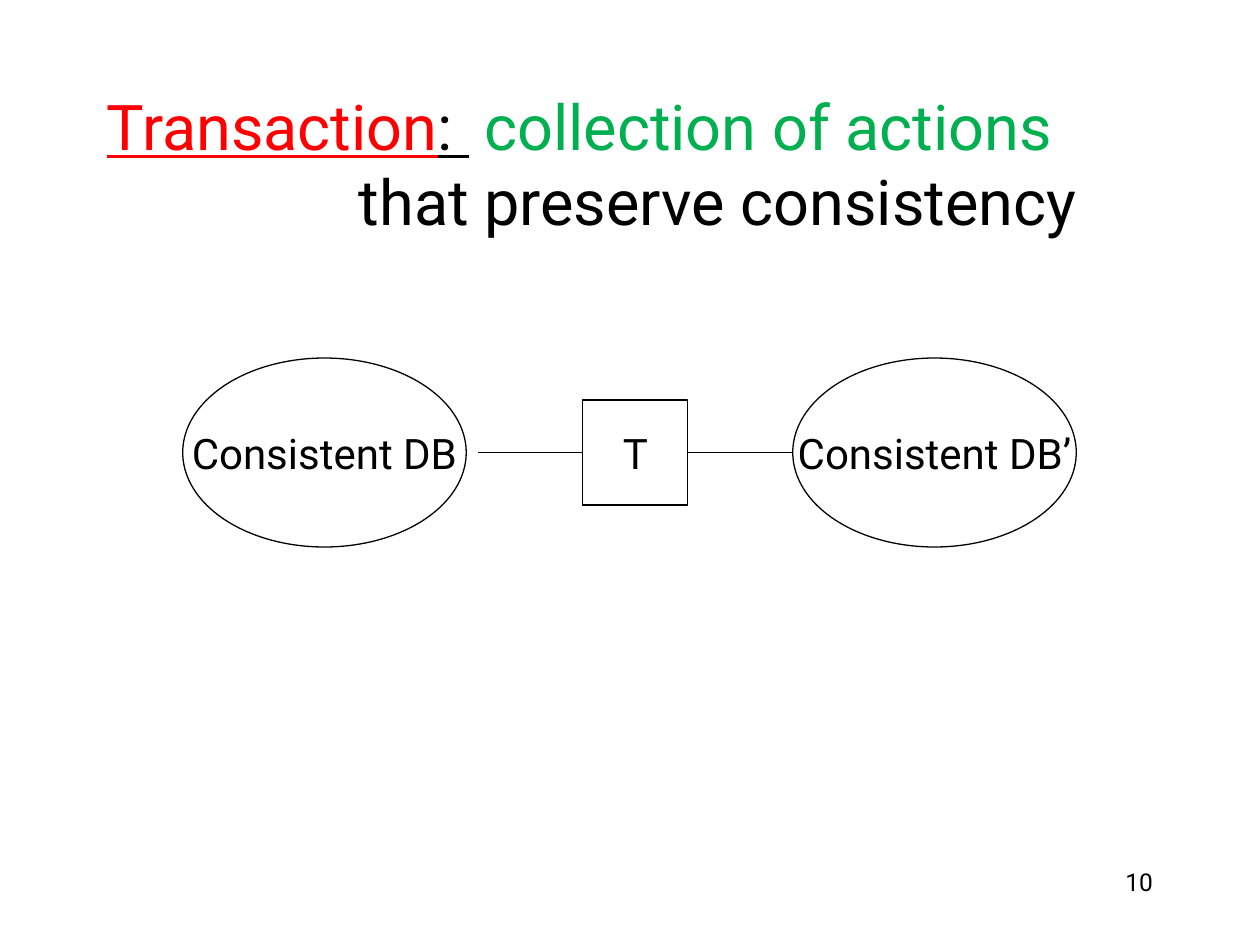
import pptx
import pptx.util
import pptx.dml.color
import pptx.enum.shapes
import pptx.enum.text
import pptx.oxml.ns
import lxml.etree

SHAPE = pptx.enum.shapes.MSO_SHAPE
ALIGN = pptx.enum.text.PP_ALIGN
ANCHOR = pptx.enum.text.MSO_ANCHOR
BLACK, WHITE, RED, GREEN = "000000", "FFFFFF", "FF0000", "00B050"


def color(value):
    return pptx.dml.color.RGBColor.from_string(value)


def write(para, text, size, ink=BLACK, underline=False):
    span = para.add_run()
    span.text = text
    formats = {"name": "Roboto", "size": pptx.util.Pt(size), "underline": underline}
    for name, value in formats.items():
        setattr(span.font, name, value)
    span.font.color.rgb = color(ink)


deck = pptx.Presentation()
deck.slide_width = pptx.util.Inches(10)
deck.slide_height = pptx.util.Inches(7.5)
page = deck.slides.add_slide(deck.slide_layouts[6])
column = deck.slide_width / 12
row = deck.slide_height / 9

number = page.shapes.add_textbox(
    int(8.6 * column), int(8.2 * row), int(2.5 * column), int(0.6 * row))
number.text_frame.word_wrap = True
number.text_frame.paragraphs[0].alignment = ALIGN.RIGHT
write(number.text_frame.paragraphs[0], "10", 14)

title = page.shapes.add_textbox(
    int(0.9 * column), int(0.8 * row), int(10.2 * column), int(1.5 * row))
title.text_frame.word_wrap = True
title.text_frame.vertical_anchor = ANCHOR.MIDDLE
first = title.text_frame.paragraphs[0]
for text, ink, underline in [
    ("Transaction", RED, True),
    (": ", BLACK, True),
    (" ", BLACK, False),
    ("collection of actions", GREEN, False),
]:
    write(first, text, 36, ink, underline)
second = title.text_frame.add_paragraph()
second._p.get_or_add_pPr().set("marL", str(int(2.4 * column)))
write(second, "that preserve consistency", 36)

middle = 4.31
nodes = [
    (SHAPE.OVAL, "Consistent DB", 1.74, 2.7, 1.8),
    (SHAPE.OVAL, "Consistent DB’", 7.55, 2.7, 1.8),
    (SHAPE.RECTANGLE, "T", 5.55, 1, 1),
]
for kind, text, left, width, height in nodes:
    node = page.shapes.add_shape(
        kind, int(left * column), int((middle - height / 2) * row),
        int(width * column), int(height * row))
    node.shadow.inherit = False
    node.fill.solid()
    node.fill.fore_color.rgb = color(WHITE)
    node.line.color.rgb = color(BLACK)
    node.line.width = pptx.util.Pt(0.75)
    for name, value in {"word_wrap": False, "vertical_anchor": ANCHOR.MIDDLE}.items():
        setattr(node.text_frame, name, value)
    para = node.text_frame.paragraphs[0]
    para.alignment = ALIGN.CENTER
    write(para, text, 24)

for start in (4.55, 6.55):
    link = page.shapes.add_connector(
        pptx.enum.shapes.MSO_CONNECTOR.STRAIGHT,
        int(start * column), int(middle * row),
        int((start + 1) * column), int(middle * row))
    link.line.color.rgb = color(BLACK)
    link.line.width = pptx.util.Pt(0.75)
    lxml.etree.SubElement(link._element.spPr, pptx.oxml.ns.qn("a:effectLst"))

deck.save("out.pptx")
